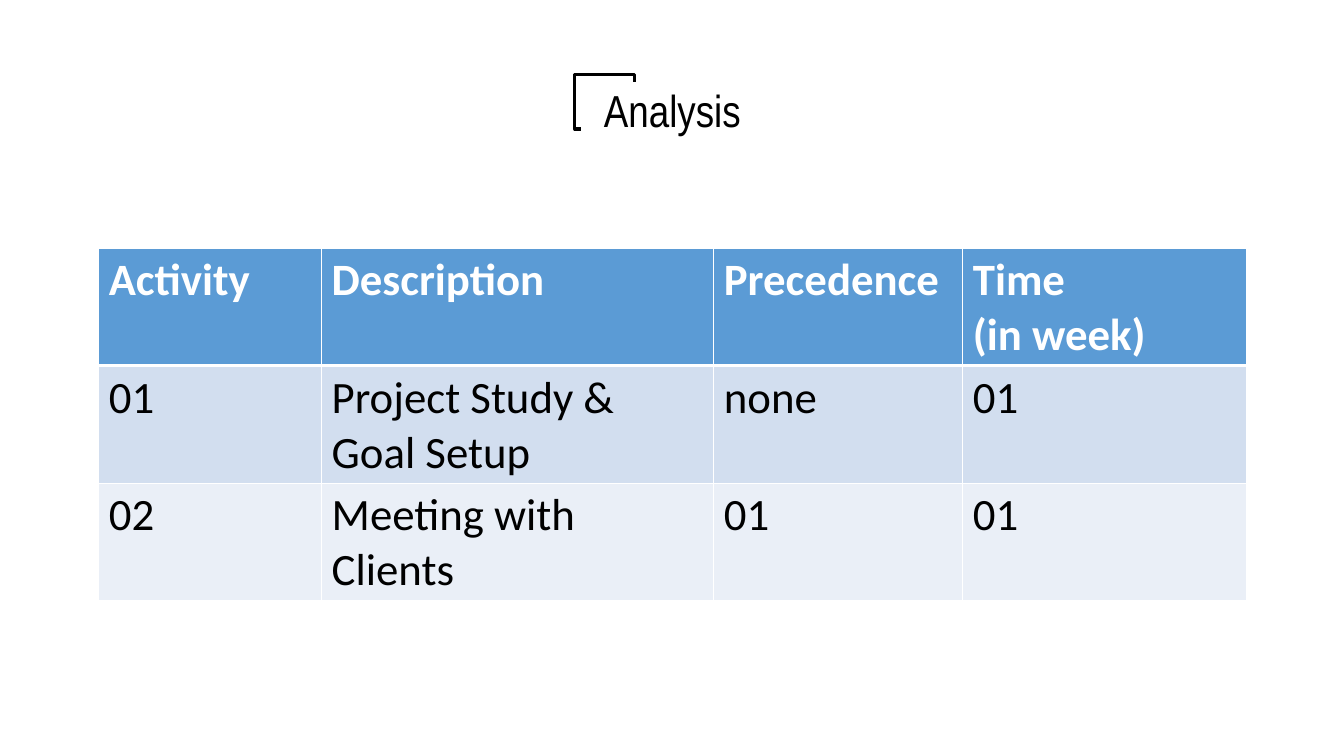
"""Build the Analysis slide: a bracketed title above an activity table."""
from pptx import Presentation
from pptx.dml.color import RGBColor
from pptx.enum.text import MSO_ANCHOR, PP_ALIGN
from pptx.oxml import parse_xml
from pptx.oxml.ns import nsdecls
from pptx.util import Inches, Pt

TITLE = "Analysis"
ACTIVITIES = [
    ("Activity", "Description", "Precedence", "Time\n(in week)"),
    ("01", "Project Study & Goal Setup", "none", "01"),
    ("02", "Meeting with Clients", "01", "01"),
]
COLUMN_WIDTHS = (2.21, 3.89, 2.47, 2.81)
ROW_HEIGHT = 1.02
BRACKET = [(5.76, 1.28), (5.7, 1.28), (5.7, 0.74), (6.29, 0.74), (6.29, 0.81)]

BLACK = RGBColor(0x00, 0x00, 0x00)
WHITE = RGBColor(0xFF, 0xFF, 0xFF)
HEADER_BLUE = RGBColor(0x5B, 0x9B, 0xD5)
BANDS = (RGBColor(0xD2, 0xDE, 0xEF), RGBColor(0xEA, 0xEF, 0xF7))


def style_font(paragraph, name, color, bold=False):
    font = paragraph.font
    font.name, font.size, font.bold = name, Pt(32), bold
    font.color.rgb = color


def add_title(slide):
    box = slide.shapes.add_textbox(Inches(0.92), Inches(0.4), Inches(11.5), Inches(1.45))
    frame = box.text_frame
    frame.word_wrap = True
    frame.vertical_anchor = MSO_ANCHOR.MIDDLE
    frame.text = TITLE
    paragraph = frame.paragraphs[0]
    paragraph.alignment = PP_ALIGN.CENTER
    paragraph.line_spacing = 0.9
    style_font(paragraph, "Arial Narrow", BLACK)


def add_bracket(slide):
    points = [(Inches(x), Inches(y)) for x, y in BRACKET]
    builder = slide.shapes.build_freeform(*points[0])
    builder.add_line_segments(points[1:], close=False)
    bracket = builder.convert_to_shape()
    bracket.shadow.inherit = False
    bracket.fill.background()
    bracket.line.color.rgb = BLACK
    bracket.line.width = Pt(2.25)


def add_borders(cell, top, bottom):
    properties = cell._tc.get_or_add_tcPr()
    for side, points in (("L", 1), ("R", 1), ("T", top), ("B", bottom)):
        properties.append(parse_xml(
            f'<a:ln{side} {nsdecls("a")} w="{Pt(points)}"><a:solidFill>'
            f'<a:srgbClr val="{WHITE}"/></a:solidFill></a:ln{side}>'))


def add_activity_table(slide):
    table = slide.shapes.add_table(
        len(ACTIVITIES), len(COLUMN_WIDTHS), Inches(0.98), Inches(2.46),
        Inches(sum(COLUMN_WIDTHS)), Inches(ROW_HEIGHT * len(ACTIVITIES))).table
    for column, width in zip(table.columns, COLUMN_WIDTHS):
        column.width = Inches(width)
    for row_index, texts in enumerate(ACTIVITIES):
        header = row_index == 0
        for column_index, text in enumerate(texts):
            cell = table.cell(row_index, column_index)
            add_borders(cell, 3 if row_index == 1 else 1, 3 if header else 1)
            cell.fill.solid()
            cell.fill.fore_color.rgb = HEADER_BLUE if header else BANDS[(row_index - 1) % 2]
            cell.text_frame.text = text
            for paragraph in cell.text_frame.paragraphs:
                style_font(paragraph, "Calibri", WHITE if header else BLACK, header)


def main():
    presentation = Presentation()
    presentation.slide_width, presentation.slide_height = Inches(13.33), Inches(7.5)
    slide = presentation.slides.add_slide(presentation.slide_layouts[6])
    add_title(slide)
    add_bracket(slide)
    add_activity_table(slide)
    presentation.save("out.pptx")


if __name__ == "__main__":
    main()
